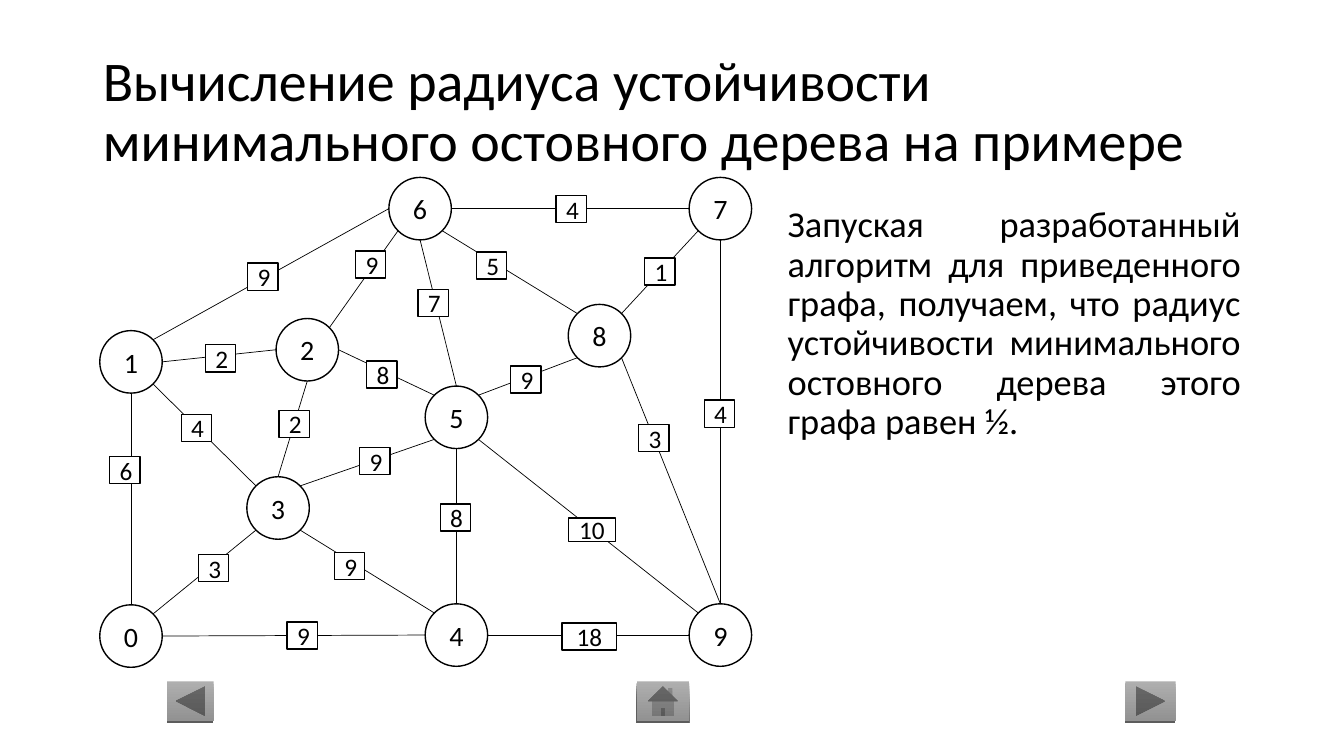
import math

from lxml import etree
from pptx import Presentation
from pptx.dml.color import RGBColor
from pptx.enum.shapes import MSO_CONNECTOR, MSO_SHAPE
from pptx.enum.text import MSO_ANCHOR, PP_ALIGN
from pptx.oxml.ns import qn
from pptx.util import Inches, Pt

OVAL = MSO_SHAPE.OVAL
RECT = MSO_SHAPE.RECTANGLE
STRAIGHT = MSO_CONNECTOR.STRAIGHT
MIDDLE, TOP = MSO_ANCHOR.MIDDLE, MSO_ANCHOR.TOP
LEFT, CENTER, JUSTIFY = PP_ALIGN.LEFT, PP_ALIGN.CENTER, PP_ALIGN.JUSTIFY

FONT = "Calibri"
COLORS = {"ink": "000000", "paper": "FFFFFF",
          "button_top": "AFAFAF", "button_bottom": "929292"}
RADIUS = 0.31
COMPASS = ["E", "SE", "S", "SW", "W", "NW", "N", "NE"]

TITLE = "Вычисление радиуса устойчивости минимального остовного дерева на примере"
BODY = ("Запуская разработанный алгоритм для приведенного графа, получаем, "
        "что радиус устойчивости минимального остовного дерева этого графа равен ½.")

NODE_CENTERS = {
    1: (1.3, 3.59), 2: (3.05, 3.47), 3: (2.76, 5.04), 4: (4.53, 6.3),
    5: (4.53, 4.14), 0: (1.3, 6.31), 6: (4.17, 2.07), 7: (7.15, 2.07),
    8: (5.95, 3.33), 9: (7.15, 6.3),
}

EDGES = [
    (0, "N", 1, "S", 6, (1.09, 4.53)),
    (0, "NE", 3, "SW", 3, (1.97, 5.5)),
    (0, "E", 4, "W", 9, (2.85, 6.17)),
    (1, "E", 2, "W", 2, (2.04, 3.42)),
    (1, "SE", 3, "NW", 4, (1.8, 4.11)),
    (1, "NE", 6, "W", 9, (2.46, 2.61)),
    (2, "S", 3, "N", 2, (2.77, 4.07)),
    (2, "E", 5, "NW", 8, (3.64, 3.58)),
    (2, "NE", 6, "SW", 9, (3.53, 2.49)),
    (3, "SE", 4, "NW", 9, (3.32, 5.48)),
    (3, "NE", 5, "SW", 9, (3.57, 4.44)),
    (4, "N", 5, "S", 8, (4.37, 5)),
    (4, "E", 9, "W", 18, (5.58, 6.18)),
    (5, "N", 6, "S", 7, (4.15, 2.87)),
    (5, "NE", 8, "SW", 9, (5.07, 3.63)),
    (5, "SE", 9, "NW", 10, (5.64, 5.14)),
    (6, "E", 7, "W", 4, (5.52, 1.94)),
    (6, "SE", 8, "NW", 5, (4.73, 2.5)),
    (7, "SW", 8, "NE", 1, (6.4, 2.56)),
    (7, "S", 9, "N", 4, (6.99, 3.97)),
    (8, "SE", 9, "N", 3, (6.34, 4.21)),
]
LABEL_SIZES = {18: (0.54, 0.27), 10: (0.47, 0.23)}

BUTTONS = [
    (MSO_SHAPE.ACTION_BUTTON_BACK_OR_PREVIOUS, 1.66, 0.46),
    (MSO_SHAPE.ACTION_BUTTON_FORWARD_OR_NEXT, 11.17, 0.5),
    (MSO_SHAPE.ACTION_BUTTON_HOME, 6.32, 0.52),
]


def rgb(name):
    return RGBColor.from_string(COLORS[name])


def place(sp, x, y, w, h):
    sp.left, sp.top, sp.width, sp.height = (Inches(v) for v in (x, y, w, h))


def write(sp, text, size, align, anchor=MIDDLE, spacing=None):
    tf = sp.text_frame
    tf.word_wrap = True
    tf.vertical_anchor = anchor
    p = tf.paragraphs[0]
    p.text = text
    p.alignment = align
    p.line_spacing = spacing
    p.font.name = FONT
    p.font.size = Pt(size)
    p.font.color.rgb = rgb("ink")


def add_box(s, kind, x, y, w, h, text, size):
    sp = s.shapes.add_shape(kind, Inches(x), Inches(y), Inches(w), Inches(h))
    sp.shadow.inherit = False
    sp.fill.solid()
    sp.fill.fore_color.rgb = rgb("paper")
    sp.line.color.rgb = rgb("ink")
    sp.line.width = Pt(1)
    write(sp, text, size, CENTER)


def rim_point(node, side):
    x, y = NODE_CENTERS[node]
    angle = math.radians(45 * COMPASS.index(side))
    return (Inches(x + RADIUS * math.cos(angle)),
            Inches(y + RADIUS * math.sin(angle)))


def add_edge(s, start, start_side, end, end_side):
    line = s.shapes.add_connector(
        STRAIGHT, *rim_point(start, start_side), *rim_point(end, end_side))
    line.line.color.rgb = rgb("ink")
    line.line.width = Pt(0.5)
    etree.SubElement(line._element.spPr, qn("a:effectLst"))


def add_button(s, kind, x, w):
    sp = s.shapes.add_shape(kind, Inches(x), Inches(6.76), Inches(w), Inches(0.39))
    sp.line.fill.background()
    sp.fill.gradient()
    sp.fill.gradient_angle = 270
    for stop, name in zip(sp.fill.gradient_stops, ("button_top", "button_bottom")):
        stop.color.rgb = rgb(name)
    sp.shadow.inherit = False
    effects = sp._element.spPr.find(qn("a:effectLst"))
    shadow = etree.SubElement(effects, qn("a:outerShdw"), blurRad="0",
                              dist=str(Pt(1.5)), dir="5400000", rotWithShape="0")
    color = etree.SubElement(shadow, qn("a:srgbClr"), val=COLORS["ink"])
    etree.SubElement(color, qn("a:alpha"), val="63000")


def main():
    prs = Presentation()
    prs.slide_width, prs.slide_height = Inches(13.34), Inches(7.5)
    s = prs.slides.add_slide(prs.slide_layouts[5])

    place(s.shapes.title, 0.92, 0.4, 11.5, 1.45)
    write(s.shapes.title, TITLE, 40, LEFT, spacing=0.9)
    body = s.shapes.add_textbox(Inches(7.72), Inches(2), Inches(4.7), Inches(4.76))
    write(body, BODY, 26, JUSTIFY, TOP, 0.9)

    for button in BUTTONS:
        add_button(s, *button)
    for node, (x, y) in NODE_CENTERS.items():
        add_box(s, OVAL, x - RADIUS, y - RADIUS, 2 * RADIUS, 2 * RADIUS, str(node), 20)
    for *ends, weight, corner in EDGES:
        add_edge(s, *ends)
    for *ends, weight, corner in EDGES:
        size = LABEL_SIZES.get(weight, (0.3, 0.27))
        add_box(s, RECT, *corner, *size, str(weight), 18)

    prs.save("out.pptx")


if __name__ == "__main__":
    main()
